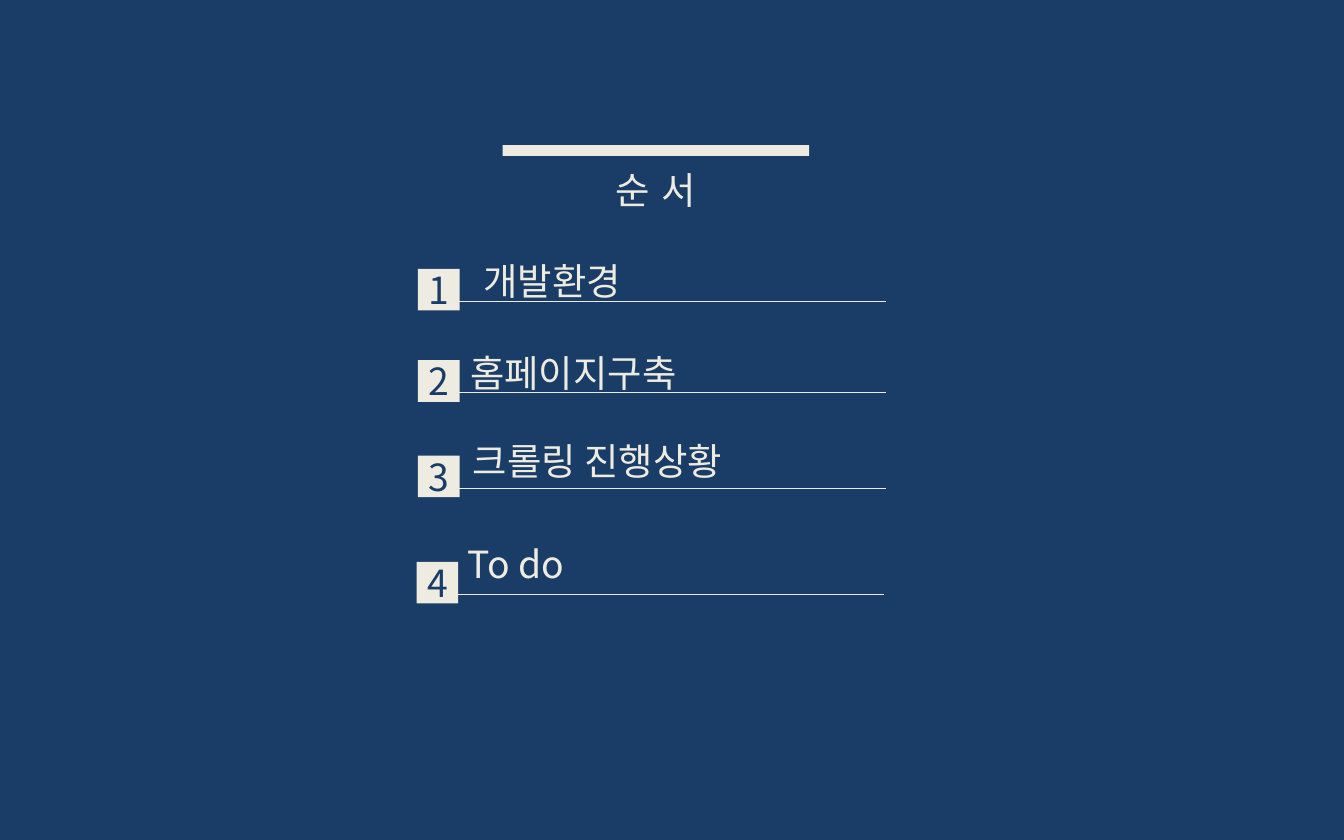
"""Build a one-page Korean agenda slide with four numbered entries."""
import lxml.etree
import pptx
import pptx.dml.color
import pptx.enum.shapes
import pptx.enum.text
import pptx.oxml.ns
import pptx.util

THEME = {
    "navy": pptx.dml.color.RGBColor.from_string("1A3D68"),
    "cream": pptx.dml.color.RGBColor.from_string("EEECE1"),
    "font": "Noto Sans CJK KR",
    "size": pptx.util.Pt(20),
    "hairline": pptx.util.Pt(0.25),
    "title_spacing": "600",
}

deck = pptx.Presentation()
deck.slide_width = pptx.util.Inches(10)
deck.slide_height = pptx.util.Inches(6.25)
column = deck.slide_width / 100
row = deck.slide_height / 62.5


def write(box, text, color, align, anchor, inset=None):
    """Put one styled paragraph in the box and return its font properties."""
    frame = box.text_frame
    frame.text = text
    frame.word_wrap = True
    frame.vertical_anchor = anchor
    if inset is not None:
        frame.margin_left = frame.margin_right = inset
        frame.margin_top = frame.margin_bottom = inset
    para = frame.paragraphs[0]
    para.alignment = align
    para.font.name = THEME["font"]
    para.font.size = THEME["size"]
    para.font.color.rgb = color
    properties = para.font._rPr
    east_asian = lxml.etree.SubElement(properties, pptx.oxml.ns.qn("a:ea"))
    east_asian.set("typeface", THEME["font"])
    return properties


def add_block(page, left, top, width, height):
    """Add a plain cream rectangle measured in columns and rows."""
    block = page.shapes.add_shape(
        pptx.enum.shapes.MSO_SHAPE.RECTANGLE,
        int(left * column), int(top * row), int(width * column), int(height * row))
    block.shadow.inherit = False
    block.fill.solid()
    block.fill.fore_color.rgb = THEME["cream"]
    block.line.fill.background()
    return block


align = pptx.enum.text.PP_ALIGN
anchor = pptx.enum.text.MSO_ANCHOR
page = deck.slides.add_slide(deck.slide_layouts[5])
page.background.fill.solid()
page.background.fill.fore_color.rgb = THEME["navy"]

add_block(page, 37.4, 10.8, 22.8, 0.8)
title = page.shapes.title
title.left, title.top = int(37.4 * column), int(11.9 * row)
title.width, title.height = int(22.8 * column), int(4.4 * row)
title_font = write(title, "순서", THEME["cream"], align.CENTER, anchor.TOP)
title_font.set("spc", THEME["title_spacing"])
title.text_frame.auto_size = pptx.enum.text.MSO_AUTO_SIZE.NONE

entries = [
    ("개발환경", 31.1, 20, 35, 18.7),
    ("홈페이지구축", 31.1, 26.8, 34, 25.6),
    ("크롤링 진행상황", 31.1, 33.9, 34.2, 32.1),
    ("To do", 31, 41.8, 33.8, 39.8),
]
for number, (text, left, top, label_left, label_top) in enumerate(entries, 1):
    badge = add_block(page, left, top, 3.1, 3.1)
    write(badge, str(number), THEME["navy"], align.CENTER, anchor.MIDDLE, 0)

    line_top = int((top + 2.4) * row)
    rule = page.shapes.add_connector(
        pptx.enum.shapes.MSO_CONNECTOR.STRAIGHT,
        int((left + 2.5) * column), line_top, int((left + 34.8) * column), line_top)
    rule.line.color.rgb = THEME["cream"]
    rule.line.width = THEME["hairline"]
    lxml.etree.SubElement(rule._element.spPr, pptx.oxml.ns.qn("a:effectLst"))

    label = page.shapes.add_textbox(
        int(label_left * column), int(label_top * row), int(35 * column), int(4.4 * row))
    write(label, text, THEME["cream"], align.LEFT, anchor.TOP)

deck.save("out.pptx")
